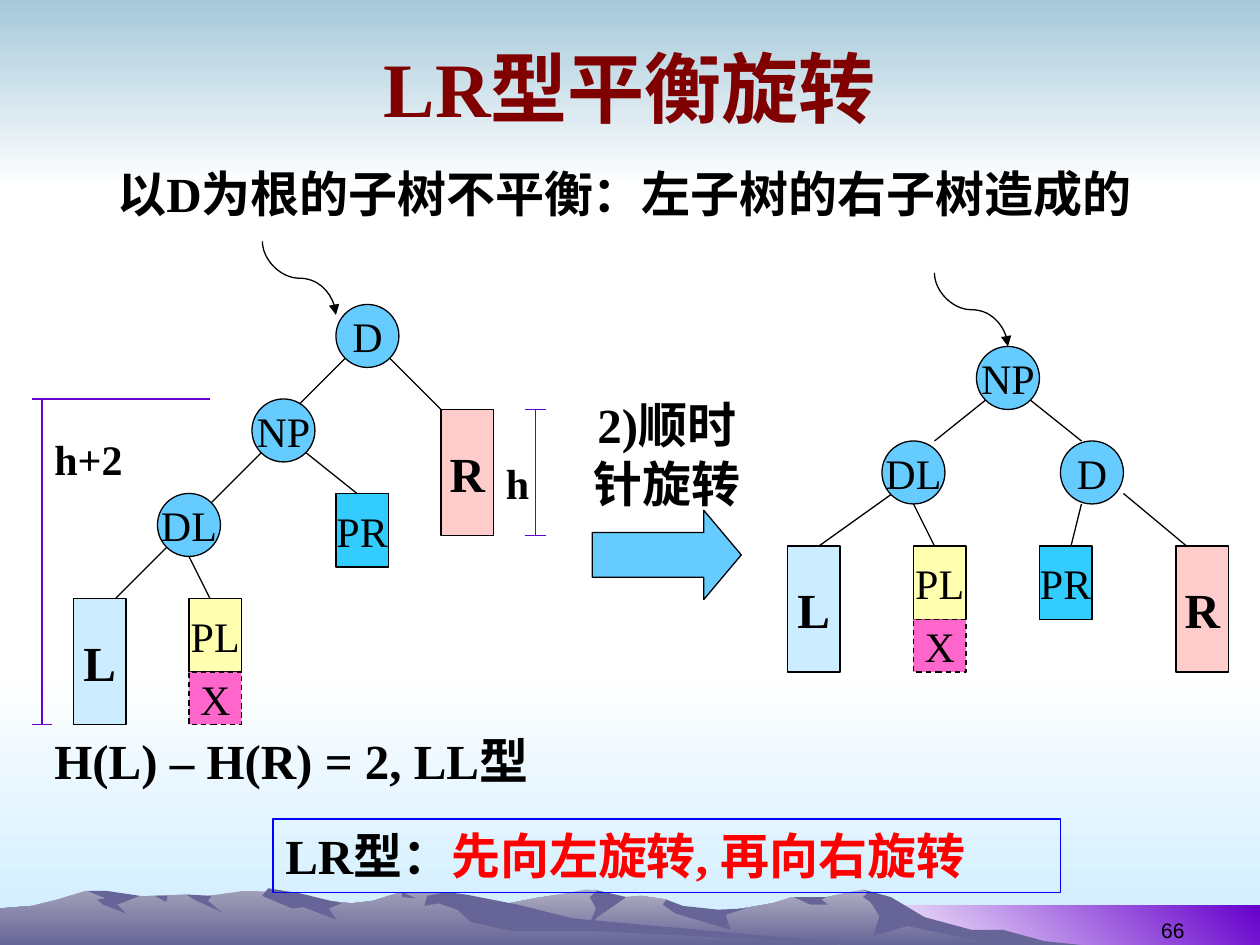
from dataclasses import dataclass
from typing import NamedTuple

from lxml import etree
from pptx import Presentation, util as u
from pptx.dml.color import RGBColor
from pptx.enum import dml, shapes, text
from pptx.oxml.ns import qn

COLS, ROWS = 120, 90  # grid of twelfths of an inch


@dataclass(frozen=True)
class Theme:
    font: str = "Times New Roman"
    number_font: str = "Arial"
    title_size: int = 44
    body_size: int = 28
    node_size: int = 24
    number_size: int = 12
    line: float = 0.75
    ink: str = "000000"
    title: str = "800000"
    accent: str = "FF0000"
    frame: str = "0000FF"
    measure: str = "6600CC"
    node: str = "66CCFF"
    shade: str = "676597"


THEME = Theme()


class Span(NamedTuple):
    text: str
    size: int = THEME.body_size
    color: str = THEME.ink
    bold: bool = True
    font: str = THEME.font


class Kind(NamedTuple):
    """Look of a tree node; width and height in grid cells."""
    fill: str
    width: int = 5
    height: int = 7
    shape: int = shapes.MSO_SHAPE.RECTANGLE
    dashed: bool = False
    big: bool = False


class Tree(NamedTuple):
    nodes: tuple  # label, column, row
    edges: tuple  # from column, row, to column, row
    pointer: tuple


class Band(NamedTuple):
    cells: tuple
    colors: tuple
    angle: int = 270


class Ridge(NamedTuple):
    """Mountain outline, points in hundredths of an inch."""
    points: tuple
    colors: tuple = (THEME.shade,)


CIRCLE = Kind(THEME.node, 6, 6, shapes.MSO_SHAPE.OVAL)
KINDS = {
    "D": CIRCLE, "NP": CIRCLE, "DL": CIRCLE,
    "L": Kind("CCECFF", height=12, big=True),
    "R": Kind("FFCCCC", height=12, big=True),
    "PL": Kind("FFFFAF"), "PR": Kind("33CCFF"),
    "X": Kind("FF66CC", height=5, dashed=True),
}
TREES = (
    Tree((("D", 101, 42), ("DL", 84, 42), ("NP", 93, 33), ("L", 75, 52),
          ("PL", 87, 52), ("X", 87, 59), ("PR", 99, 52), ("R", 112, 52)),
         ((94, 38, 89, 42), (85, 47, 78, 52), (98, 38, 103, 42),
          (107, 47, 113, 52), (87, 48, 89, 52), (103, 48, 102, 52)),
         (89, 26, 96, 33)),
    Tree((("D", 32, 29), ("DL", 15, 47), ("NP", 24, 38), ("L", 7, 57),
          ("PL", 18, 57), ("X", 18, 64), ("PR", 32, 47), ("R", 42, 39)),
         ((25, 43, 20, 48), (16, 52, 10, 58), (29, 43, 34, 47),
          (37, 34, 42, 39), (18, 53, 20, 57), (34, 33, 28, 39)),
         (25, 23, 32, 30)),
)
MEASURES = ((51, 39, 51, 51), (50, 39, 52, 39), (50, 51, 52, 51),
            (4, 38, 4, 69), (3, 38, 20, 38), (3, 69, 5, 69))
BANDS = (
    Band((0, 64, COLS, 26), ("FFFFFF", "CCECFF")),
    Band((0, 0, COLS, 18), ("A6C9DA", "FFFFFF")),
    Band((82, 86.25, 38, 3.75), ("FFFFFF", "6600CC"), 45),
)
RIDGES = (
    Ridge(((258, 750), (277, 745), (327, 731), (355, 725), (394, 719), (424, 713), (450, 709),
           (465, 706), (474, 707), (486, 713), (509, 711), (529, 714), (536, 721), (566, 725),
           (613, 717), (629, 712), (656, 712), (685, 706), (702, 712), (723, 725), (764, 738),
           (802, 746), (820, 750)), ("AEAEC2", THEME.shade)),
    Ridge(((685, 706), (707, 712), (734, 728), (771, 738), (796, 738), (829, 747), (858, 750),
           (792, 750), (720, 735), (693, 743), (698, 727), (691, 716), (685, 712), (689, 708))),
    Ridge(((471, 706), (474, 707), (468, 712), (473, 721), (465, 740), (474, 728), (490, 717),
           (497, 712))),
    Ridge(((529, 714), (526, 718), (536, 725), (580, 738), (576, 726), (592, 721), (570, 722),
           (542, 719))),
    Ridge(((650, 712), (630, 712), (643, 718), (657, 718), (652, 714), (656, 712))),
    Ridge(((0, 721), (26, 719), (46, 714), (68, 707), (94, 712), (123, 711), (148, 710),
           (160, 712), (194, 707), (223, 708), (236, 717), (260, 715), (279, 717), (296, 715),
           (318, 708), (331, 708), (354, 709), (432, 732), (667, 750), (0, 750)),
          ("9F9EB8", THEME.shade)),
    Ridge(((213, 705), (208, 711), (232, 721), (241, 720), (267, 730), (261, 721), (271, 717),
           (238, 709))),
    Ridge(((370, 710), (354, 708), (339, 711), (337, 719), (348, 717), (363, 722), (374, 732),
           (407, 739), (472, 739), (690, 750), (455, 729), (411, 718))),
    Ridge(((319, 708), (330, 713), (319, 712))),
    Ridge(((148, 710), (168, 711), (165, 715), (176, 724), (154, 714))),
    Ridge(((123, 711), (133, 711), (132, 716))),
    Ridge(((69, 707), (84, 707), (111, 711), (93, 718), (100, 725), (82, 718), (77, 714),
           (84, 713))),
)


def cells(*counts: float) -> list[int]:
    return [u.Inches(count / 12) for count in counts]


def rgb(color: str) -> RGBColor:
    return RGBColor.from_string(color)


def set_outline(shape, color: str, dashed: bool = False) -> None:
    shape.line.color.rgb = rgb(color)
    shape.line.width = u.Pt(THEME.line)
    if dashed:
        shape.line.dash_style = dml.MSO_LINE.DASH


def set_fill(shape, colors: tuple, angle: int = 270) -> None:
    shape.shadow.inherit = False
    if len(colors) == 1:
        shape.fill.solid()
        shape.fill.fore_color.rgb = rgb(colors[0])
        return
    shape.fill.gradient()
    shape.fill.gradient_angle = angle
    for stop, color in zip(shape.fill.gradient_stops, colors):
        stop.color.rgb = rgb(color)


def write(box, *spans: Span, align=text.PP_ALIGN.LEFT, anchor=text.MSO_ANCHOR.TOP,
          wrap: bool = True) -> None:
    frame = box.text_frame
    formats = {"auto_size": text.MSO_AUTO_SIZE.NONE, "word_wrap": wrap, "vertical_anchor": anchor}
    for name, value in formats.items():
        setattr(frame, name, value)
    para = frame.paragraphs[0]
    para.alignment = align
    for span in spans:
        run = para.add_run()
        run.text = span.text
        run.font.color.rgb = rgb(span.color)
        for name, value in {"name": span.font, "size": u.Pt(span.size), "bold": span.bold}.items():
            setattr(run.font, name, value)


def add_label(page, place: tuple, *spans: Span, **layout):
    box = page.shapes.add_textbox(*cells(*place))
    write(box, *spans, **layout)
    return box


def add_line(page, ends: tuple, color: str = THEME.ink, kind=shapes.MSO_CONNECTOR.STRAIGHT):
    line = page.shapes.add_connector(kind, *cells(*ends))
    set_outline(line, color)
    etree.SubElement(line.element.spPr, qn("a:effectLst"))
    return line


def add_pointer(page, ends: tuple) -> None:
    """Curved arrow that leaves and arrives vertically."""
    curve = add_line(page, ends, kind=shapes.MSO_CONNECTOR.CURVE)
    turn = curve.element.spPr.find(qn("a:xfrm"))
    turn.set("rot", str(270 * 60000))
    turn.set("flipH", "1")
    etree.SubElement(curve.element.spPr.find(qn("a:ln")), qn("a:tailEnd"), type="triangle")


def add_tree(page, tree: Tree) -> None:
    for edge in tree.edges:
        add_line(page, edge)
    for label, col, row in tree.nodes:
        kind = KINDS[label]
        node = page.shapes.add_shape(kind.shape, *cells(col, row, kind.width, kind.height))
        set_fill(node, (kind.fill,))
        set_outline(node, THEME.ink, kind.dashed)
        size = THEME.body_size if kind.big else THEME.node_size
        write(node, Span(label, size, bold=kind.big), align=text.PP_ALIGN.CENTER,
              anchor=text.MSO_ANCHOR.MIDDLE, wrap=False)
    add_pointer(page, tree.pointer)


def add_backdrop(page) -> None:
    for band in BANDS:
        shape = page.shapes.add_shape(shapes.MSO_SHAPE.RECTANGLE, *cells(*band.cells))
        set_fill(shape, band.colors, band.angle)
        shape.line.fill.background()
    for ridge in RIDGES:
        start, *others = ridge.points
        builder = page.shapes.build_freeform(*start, scale=u.Inches(0.01))
        builder.add_line_segments(others, close=True)
        shape = builder.convert_to_shape()
        set_fill(shape, ridge.colors)
        shape.line.fill.background()


def add_title(page) -> None:
    title = page.shapes.title
    title.element.getparent().append(title.element)  # in front of the backdrop
    places = cells(6, 1.5, 108, 13.5)
    for name, value in zip(("left", "top", "width", "height"), places):
        setattr(title, name, value)
    write(title, Span("LR型平衡旋转", THEME.title_size, THEME.title),
          align=text.PP_ALIGN.CENTER, anchor=text.MSO_ANCHOR.MIDDLE)


def main() -> None:
    deck = Presentation()
    deck.slide_width, deck.slide_height = cells(COLS, ROWS)
    page = deck.slides.add_slide(deck.slide_layouts[5])
    add_backdrop(page)
    add_title(page)
    for tree in TREES:
        add_tree(page, tree)

    arrow = page.shapes.add_shape(shapes.MSO_SHAPE.RIGHT_ARROW, *cells(56.4, 48.6, 14.2, 8.5))
    arrow.adjustments[1] = 0.42
    set_fill(arrow, (THEME.node,))
    set_outline(arrow, THEME.ink)
    add_label(page, (55, 37, 17, 12.4), Span("2)顺时针旋转"), align=text.PP_ALIGN.CENTER)

    add_label(page, (10, 15, 102, 6.8), Span("以D为根的子树不平衡：左子树的右子树造成的"))
    rule = add_label(page, (26, 78, 75, 7), Span("LR型："),
                     Span("先向左旋转, 再向右旋转", color=THEME.accent))
    set_outline(rule, THEME.frame)
    add_label(page, (4, 69, 55, 6.8), Span("H(L) – H(R) = 2, LL型"))

    for ends in MEASURES:
        add_line(page, ends, THEME.measure)
    add_label(page, (47, 43, 5, 6), Span("h", THEME.node_size))
    add_label(page, (4, 40.7, 9, 6), Span("h+2", THEME.node_size))
    add_label(page, (86, 84.4, 28, 6), Span("66", THEME.number_size, bold=False,
                                            font=THEME.number_font),
              align=text.PP_ALIGN.RIGHT, anchor=text.MSO_ANCHOR.BOTTOM)
    deck.save("out.pptx")


if __name__ == "__main__":
    main()
